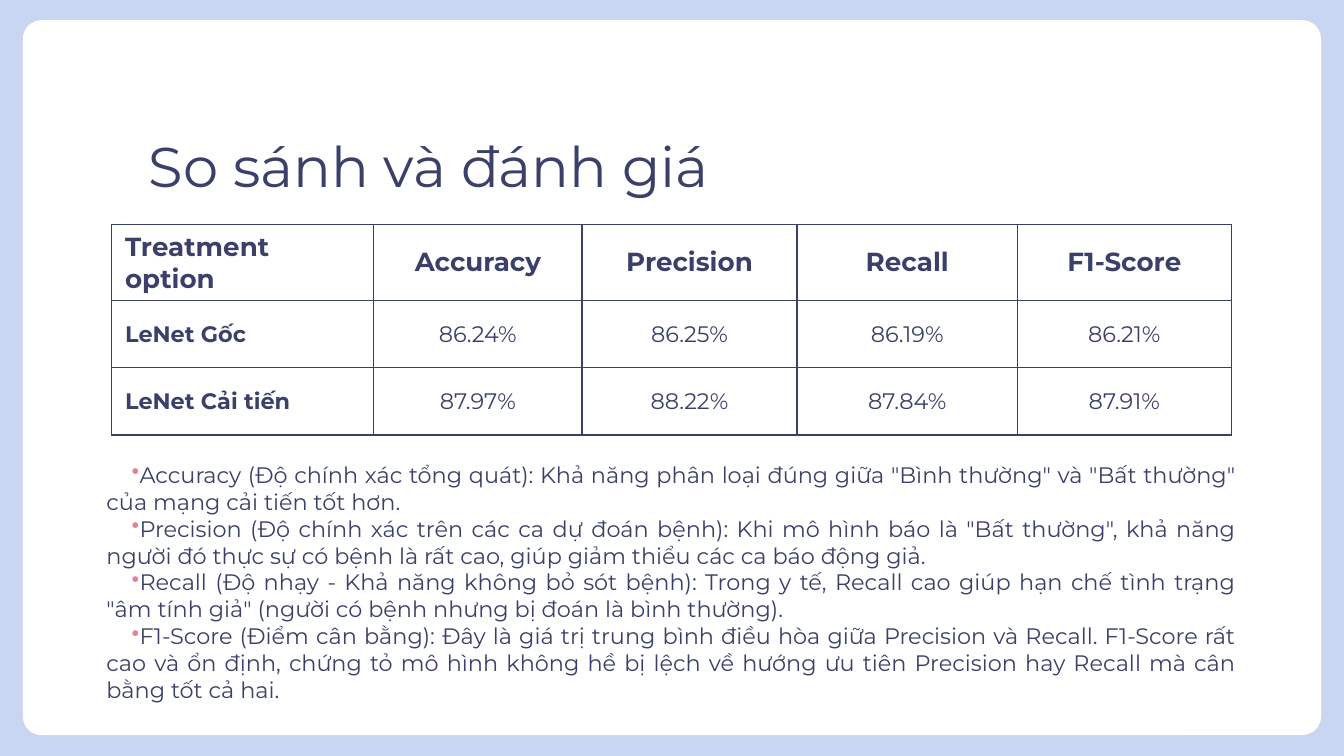
from dataclasses import dataclass

from lxml import etree
from pptx import Presentation
from pptx.dml.color import RGBColor
from pptx.enum import shapes, text
from pptx.oxml import ns
from pptx.util import Pt


@dataclass(frozen=True)
class Theme:
    font: str = "Montserrat"
    backdrop: str = "C9D6F2"
    card: str = "FFFFFF"
    ink: str = "3B406B"
    bullet: str = "E7809B"
    title_size: float = 30
    header_size: float = 14
    body_size: float = 12
    border: float = 0.75


THEME = Theme()

COLUMN_WIDTHS = [140.4, 111.6, 115.2, 118.1, 114.5]
ROW_HEIGHT = 36
RESULTS = [
    ["Treatment option", "Accuracy", "Precision", "Recall", "F1-Score"],
    ["LeNet Gốc", "86.24%", "86.25%", "86.19%", "86.21%"],
    ["LeNet Cải tiến", "87.97%", "88.22%", "87.84%", "87.91%"],
]
EXPLANATIONS = [
    'Accuracy (Độ chính xác tổng quát): Khả năng phân loại đúng giữa "Bình thường" '
    'và "Bất thường" của mạng cải tiến tốt hơn.',
    'Precision (Độ chính xác trên các ca dự đoán bệnh): Khi mô hình báo là "Bất thường", '
    "khả năng người đó thực sự có bệnh là rất cao, giúp giảm thiểu các ca báo động giả.",
    "Recall (Độ nhạy - Khả năng không bỏ sót bệnh): Trong y tế, Recall cao giúp hạn chế "
    'tình trạng "âm tính giả" (người có bệnh nhưng bị đoán là bình thường).',
    "F1-Score (Điểm cân bằng): Đây là giá trị trung bình điều hòa giữa Precision và Recall. "
    "F1-Score rất cao và ổn định, chứng tỏ mô hình không hề bị lệch về hướng ưu tiên "
    "Precision hay Recall mà cân bằng tốt cả hai.",
]


def style(paragraph, size, align=text.PP_ALIGN.LEFT, bold=False):
    paragraph.alignment = align
    font = paragraph.font
    font.name, font.size, font.bold = THEME.font, Pt(size), bold
    font.color.rgb = RGBColor.from_string(THEME.ink)


def add_card(slide):
    card = slide.shapes.add_shape(
        shapes.MSO_SHAPE.ROUNDED_RECTANGLE, Pt(12.24), Pt(10.8), Pt(695.5), Pt(383))
    card.adjustments[0] = 0.026
    card.shadow.inherit = False
    card.fill.solid()
    card.fill.fore_color.rgb = RGBColor.from_string(THEME.card)
    card.line.fill.background()


def add_text(slide, left, top, width, height, lines, size, align=text.PP_ALIGN.LEFT):
    frame = slide.shapes.add_textbox(Pt(left), Pt(top), Pt(width), Pt(height)).text_frame
    frame.word_wrap = True
    frame.margin_left = frame.margin_right = Pt(7.2)
    frame.margin_top = frame.margin_bottom = Pt(7.2)
    frame.text = "\n".join(lines)
    for paragraph in frame.paragraphs:
        style(paragraph, size, align)
    return frame


def add_bullet(paragraph, margin, indent):
    properties = paragraph._p.get_or_add_pPr()
    properties.set("marL", str(Pt(margin)))
    properties.set("indent", str(Pt(indent)))
    color = etree.SubElement(properties, ns.qn("a:buClr"))
    etree.SubElement(color, ns.qn("a:srgbClr"), val=THEME.bullet)
    etree.SubElement(properties, ns.qn("a:buChar"), char="•")
    # The schema wants the default run properties after the bullet.
    properties.append(properties.find(ns.qn("a:defRPr")))


def add_borders(cell):
    properties = cell._tc.get_or_add_tcPr()
    for position, side in enumerate(("lnL", "lnR", "lnT", "lnB")):
        line = etree.Element(ns.qn(f"a:{side}"), w=str(Pt(THEME.border)))
        fill = etree.SubElement(line, ns.qn("a:solidFill"))
        etree.SubElement(fill, ns.qn("a:srgbClr"), val=THEME.ink)
        properties.insert(position, line)


def add_results(slide, left, top):
    table = slide.shapes.add_table(
        len(RESULTS), len(COLUMN_WIDTHS), Pt(left), Pt(top),
        Pt(sum(COLUMN_WIDTHS)), Pt(ROW_HEIGHT * len(RESULTS))).table
    table.first_row = table.horz_banding = False
    for column, width in zip(table.columns, COLUMN_WIDTHS):
        column.width = Pt(width)
    for r, values in enumerate(RESULTS):
        table.rows[r].height = Pt(ROW_HEIGHT)
        for c, value in enumerate(values):
            cell = table.cell(r, c)
            cell.text = value
            cell.vertical_anchor = text.MSO_ANCHOR.MIDDLE
            cell.fill.background()
            add_borders(cell)
            style(cell.text_frame.paragraphs[0],
                  THEME.body_size if r else THEME.header_size,
                  text.PP_ALIGN.CENTER if c else text.PP_ALIGN.LEFT,
                  bold=r == 0 or c == 0)


def main():
    deck = Presentation()
    deck.slide_width, deck.slide_height = Pt(720), Pt(405)
    slide = deck.slides.add_slide(deck.slide_layouts[6])
    slide.background.fill.solid()
    slide.background.fill.fore_color.rgb = RGBColor.from_string(THEME.backdrop)

    add_card(slide)
    add_text(slide, 72.7, 63.4, 348.5, 85.7, ["So sánh và đánh giá"], THEME.title_size)
    add_results(slide, 59.8, 120.2)
    explanations = add_text(slide, 27.4, 239.8, 642.2, 188.6, EXPLANATIONS,
                            THEME.body_size, text.PP_ALIGN.JUSTIFY)
    for paragraph in explanations.paragraphs:
        add_bullet(paragraph, margin=22.5, indent=13.5)

    deck.save("out.pptx")


if __name__ == "__main__":
    main()
